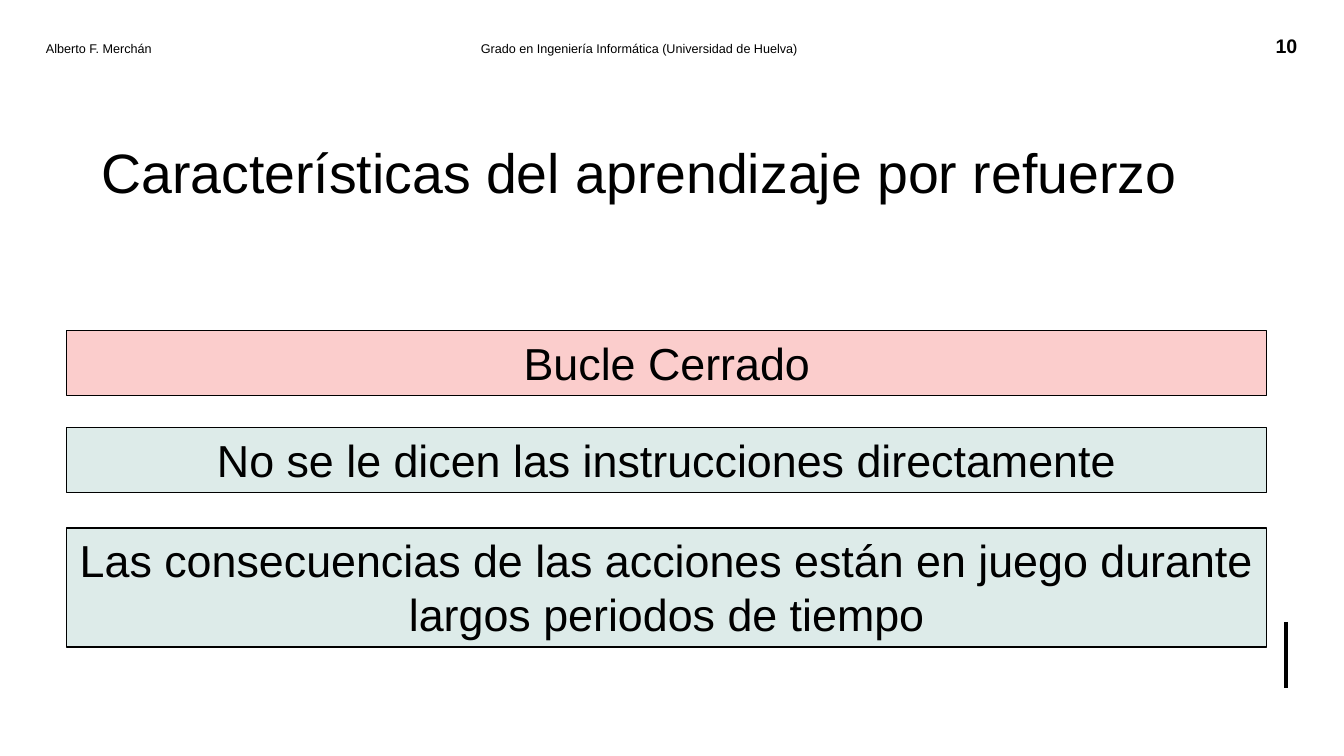
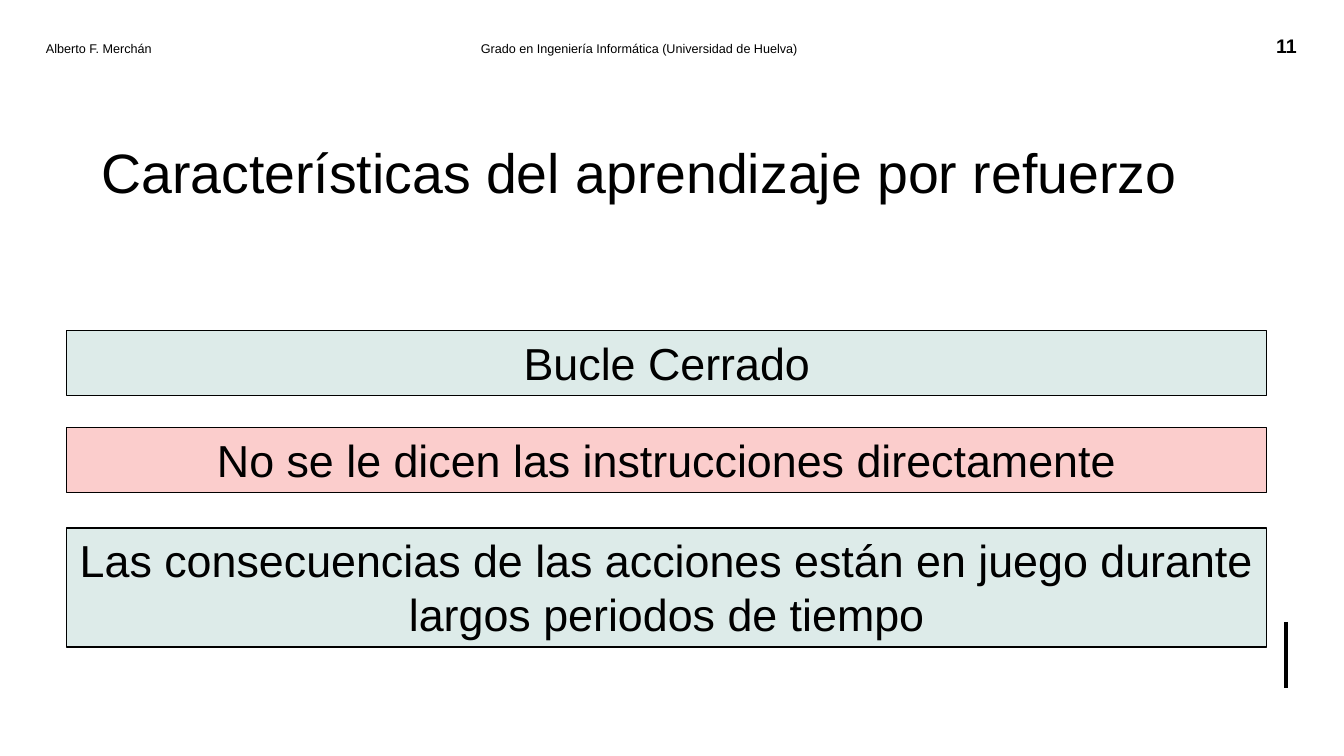
from dataclasses import dataclass
from lxml.etree import SubElement
from pptx import Presentation
from pptx.dml.color import RGBColor
from pptx.enum.shapes import MSO_CONNECTOR, MSO_SHAPE
from pptx.enum.text import MSO_ANCHOR, PP_ALIGN
from pptx.oxml.ns import qn
from pptx.util import Pt

SCALE = 914400 / 100.8


def px(num):
    return round(num * SCALE)


@dataclass(frozen=True)
class Theme:
    font: str = "Arial"
    ink: str = "000000"
    paper: str = "FFFFFF"
    focus: str = "F99D9B"
    calm: str = "BCD9D5"
    alpha: int = 50
    title: float = 39.6
    body: float = 32
    page: float = 14
    small: float = 9


def write(shape, text, *, size, color, font, bold=False,
          align=PP_ALIGN.LEFT, anchor=MSO_ANCHOR.MIDDLE, tab=None):
    frame = shape.text_frame
    frame.word_wrap = True
    frame.vertical_anchor = anchor
    para = frame.paragraphs[0]
    para.alignment = align
    if tab:
        stops = SubElement(para._p.get_or_add_pPr(), qn("a:tabLst"))
        SubElement(stops, qn("a:tab"), pos=str(px(tab)), algn="l")
    run = para.add_run()
    run.text = text
    run.font.name = font
    run.font.size = Pt(size)
    run.font.bold = bold
    run.font.color.rgb = RGBColor.from_string(color)


class Deck:
    def __init__(self, theme):
        self.theme = theme
        self.show = Presentation()
        self.show.slide_width = px(1344)
        self.show.slide_height = px(756)
        self.slide = None

    def start(self):
        self.slide = self.show.slides.add_slide(self.show.slide_layouts[6])
        fill = self.slide.background.fill
        fill.solid()
        fill.fore_color.rgb = RGBColor.from_string(self.theme.paper)

    def text(self, box, words, **style):
        shape = self.slide.shapes.add_textbox(*map(px, box))
        write(shape, words, color=self.theme.ink, font=self.theme.font, **style)

    def bar(self, box, words, color):
        shape = self.slide.shapes.add_shape(MSO_SHAPE.RECTANGLE, *map(px, box))
        shape.shadow.inherit = False
        shape.fill.solid()
        shape.fill.fore_color.rgb = RGBColor.from_string(color)
        tint = shape.fill._xPr.find(qn("a:solidFill"))[0]
        SubElement(tint, qn("a:alpha"), val=str(self.theme.alpha * 1000))
        shape.line.color.rgb = RGBColor.from_string(self.theme.ink)
        shape.line.width = Pt(0.75)
        write(shape, words, size=self.theme.body, color=self.theme.ink,
              font=self.theme.font, align=PP_ALIGN.CENTER, anchor=MSO_ANCHOR.TOP)

    def line(self, ends, width):
        line = self.slide.shapes.add_connector(MSO_CONNECTOR.STRAIGHT, *map(px, ends))
        line.line.color.rgb = RGBColor.from_string(self.theme.ink)
        line.line.width = Pt(width)
        SubElement(line._element.spPr, qn("a:effectLst"))

    # Parts that every slide shares
    def base(self, title, page):
        self.start()
        self.line((1286, 622, 1286, 688), 3)
        self.text((67, 92, 1144, 158), title, size=self.theme.title,
                  align=PP_ALIGN.CENTER)
        self.text((1245, 26, 83, 40), str(page), size=self.theme.page, bold=True,
                  align=PP_ALIGN.CENTER)
        self.text((36, 28, 1208, 40), HEADER, size=self.theme.small, tab=435)


HEADER = "Alberto F. Merchán\tGrado en Ingeniería Informática (Universidad de Huelva)"
TITLE = "Características del aprendizaje por refuerzo"

# Top, height and wording of each trait
TRAITS = [
    (331, 65, "Bucle Cerrado"),
    (428, 65, "No se le dicen las instrucciones directamente"),
    (528, 119, "Las consecuencias de las acciones están en juego "
               "durante largos periodos de tiempo"),
]

# One slide per trait in focus
deck = Deck(Theme())
for focus, page in enumerate((10, 11)):
    deck.base(TITLE, page)
    for index, (top, height, words) in enumerate(TRAITS):
        color = deck.theme.focus if index == focus else deck.theme.calm
        deck.bar((67, top, 1200, height), words, color)

deck.show.save("out.pptx")
